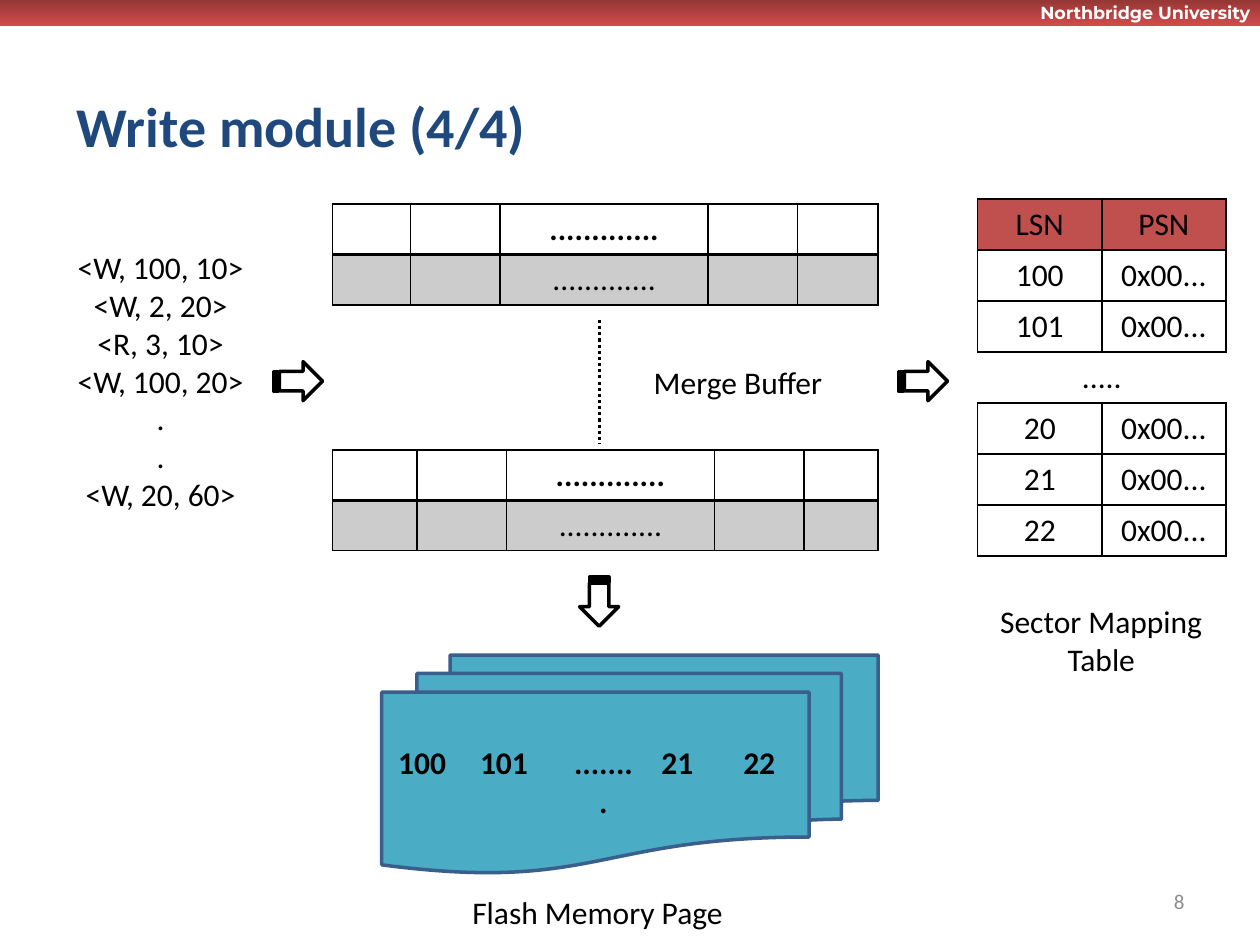
from lxml.etree import SubElement
from pptx import Presentation
from pptx.dml.color import RGBColor
from pptx.enum.dml import MSO_LINE_DASH_STYLE as Dash
from pptx.enum.shapes import MSO_CONNECTOR as Connector, MSO_SHAPE as Shape
from pptx.enum.text import MSO_ANCHOR as Anchor, PP_ALIGN as Align
from pptx.oxml import parse_xml
from pptx.oxml.ns import nsdecls, qn
from pptx.util import Inches, Pt

BLACK = RGBColor(0x00, 0x00, 0x00)
WHITE = RGBColor(0xFF, 0xFF, 0xFF)
NAVY = RGBColor(0x1F, 0x49, 0x7D)
RED = RGBColor(0xC0, 0x50, 0x4D)
BAR_TOP = RGBColor(0x95, 0x37, 0x35)
BAR_BOTTOM = RGBColor(0xD2, 0x4C, 0x4C)
SHADE = RGBColor(0xCC, 0xCC, 0xCC)
TEAL = RGBColor(0x4B, 0xAC, 0xC6)
PAGE_EDGE = RGBColor(0x3A, 0x5F, 0x8C)
GREY = RGBColor(0x8C, 0x8C, 0x8C)

COLUMNS, ROWS = 100, 75
UNIT = 0.1  # inches per grid step

REQUESTS = ["<W, 100, 10>", "<W, 2, 20>", "<R, 3, 10>", "<W, 100, 20>",
            ".", ".", "<W, 20, 60>"]
ADDRESS = "0x00..."
MAPPING = [["LSN", "PSN"], ["100", ADDRESS], ["101", ADDRESS], [".....", ""],
           ["20", ADDRESS], ["21", ADDRESS], ["22", ADDRESS]]
GAP_ROW = 3
DOTS = "............."
BOX = dict.fromkeys("LRTB", 1)


def grid(*steps):
    return [Inches(step * UNIT) for step in steps]


def write(text_frame, lines, size=18, color=BLACK, bold=False,
          align=Align.LEFT, font="Calibri"):
    text_frame.text = "\n".join(lines)
    for paragraph in text_frame.paragraphs:
        paragraph.alignment = align
        paragraph.font.size = Pt(size)
        for run in paragraph.runs:
            run.font.name = font
            run.font.size = Pt(size)
            run.font.bold = bold
            run.font.color.rgb = color


def add_text(slide, place, lines, wrap=False, anchor=Anchor.TOP, **style):
    text_frame = slide.shapes.add_textbox(*grid(*place)).text_frame
    text_frame.word_wrap = wrap
    text_frame.vertical_anchor = anchor
    write(text_frame, lines, **style)


def add_block(slide, kind, place, fill, edge, rotation=0):
    shape = slide.shapes.add_shape(kind, *grid(*place))
    shape.shadow.inherit = False
    shape.fill.solid()
    shape.fill.fore_color.rgb = fill
    shape.line.color.rgb = edge
    shape.line.width = Pt(2)
    shape.rotation = rotation


def add_top_bar(slide):
    bar = slide.shapes.add_shape(Shape.RECTANGLE, *grid(0, 0, COLUMNS, 2.1))
    bar.shadow.inherit = False
    bar.line.fill.background()
    bar.fill.gradient()
    bar.fill.gradient_angle = 270
    for stop, color in zip(bar.fill.gradient_stops, (BAR_TOP, BAR_BOTTOM)):
        stop.color.rgb = color


def add_dotted_line(slide, x, top, bottom):
    line = slide.shapes.add_connector(Connector.STRAIGHT, *grid(x, top, x, bottom))
    line.line.color.rgb = BLACK
    line.line.width = Pt(1.75)
    line.line.dash_style = Dash.ROUND_DOT
    SubElement(line._element.spPr, qn("a:effectLst"))


def set_borders(cell, widths):
    """Draw black borders by side (L, R, T, B) in points; hide the other sides."""
    properties = cell._tc.get_or_add_tcPr()
    for index, side in enumerate("LRTB"):
        width = widths.get(side, 0)
        paint = (f'<a:solidFill><a:srgbClr val="{BLACK}"/></a:solidFill>'
                 if width else "<a:noFill/>")
        properties.insert(index, parse_xml(
            f'<a:ln{side} {nsdecls("a")} w="{Pt(width)}">{paint}</a:ln{side}>'))


def fill_cell(cell, text, fill=None, borders=BOX, **style):
    write(cell.text_frame, [text], **style)
    if fill is None:
        cell.fill.background()
    else:
        cell.fill.solid()
        cell.fill.fore_color.rgb = fill
    set_borders(cell, borders)


def add_table(slide, left, top, widths, row_height, row_count):
    table = slide.shapes.add_table(
        row_count, len(widths),
        *grid(left, top, sum(widths), row_height * row_count)).table
    table.first_row = table.horz_banding = False
    for column, width in zip(table.columns, widths):
        column.width = Inches(width * UNIT)
    for row in table.rows:
        row.height = Inches(row_height * UNIT)
    return table


def add_mapping_table(slide):
    table = add_table(slide, 77.6, 15.8, [9.85, 9.85], 4.05, len(MAPPING))
    for r, values in enumerate(MAPPING):
        borders = {"T": 1, "B": 1} if r == GAP_ROW else BOX
        for c, value in enumerate(values):
            fill_cell(table.cell(r, c), value, None if r else RED, borders,
                      align=Align.CENTER)
    table.cell(GAP_ROW, 0).merge(table.cell(GAP_ROW, 1))


def add_buffer_table(slide, top, widths):
    table = add_table(slide, 26.4, top, widths, 4, 2)
    middle = len(widths) // 2
    for c in range(len(widths)):
        text = DOTS if c == middle else ""
        fill_cell(table.cell(0, c), text, borders=BOX | {"B": 2},
                  bold=True, align=Align.CENTER)
        fill_cell(table.cell(1, c), text, SHADE, BOX | {"T": 2},
                  align=Align.CENTER)


def add_page_numbers(slide):
    table = add_table(slide, 30.6, 58.6, [6.5, 7.2, 7.2, 6.5, 5.8], 10, 1)
    for c, value in enumerate(["100", "101", "........", "21", "22"]):
        align = Align.CENTER if c == 2 else Align.LEFT
        fill_cell(table.cell(0, c), value, borders={}, bold=True, align=align)


def main():
    presentation = Presentation()
    presentation.slide_width, presentation.slide_height = grid(COLUMNS, ROWS)
    slide = presentation.slides.add_slide(presentation.slide_layouts[6])

    add_top_bar(slide)
    add_text(slide, (78.3, -0.3, 21.9, 2.7), ["Northbridge University"], size=10,
             color=WHITE, bold=True, align=Align.RIGHT, font="Montserrat")
    add_text(slide, (5.1, 5.2, 84.9, 9.4), ["Write module (4/4)"], wrap=True,
             anchor=Anchor.MIDDLE, size=32, color=NAVY, bold=True)

    add_mapping_table(slide)
    add_text(slide, (5.1, 19.2, 15.3, 22.2), REQUESTS, align=Align.CENTER)
    add_buffer_table(slide, 16.2, [6.2, 7.1, 16.5, 7.1, 6.4])
    add_dotted_line(slide, 47.6, 25.4, 35.2)
    add_buffer_table(slide, 35.7, [6.7, 7.1, 16.5, 7.1, 5.9])

    add_block(slide, Shape.FLOWCHART_MULTIDOCUMENT, (30.3, 52, 39.4, 17.3),
              TEAL, PAGE_EDGE)
    for left, top, rotation in [(21.7, 28.7, 0), (71.3, 28.7, 0), (45.6, 46.2, 90)]:
        add_block(slide, Shape.STRIPED_RIGHT_ARROW, (left, top, 3.9, 3.1),
                  WHITE, BLACK, rotation)
    add_page_numbers(slide)

    add_text(slide, (36.5, 70.4, 22.1, 4), ["Flash Memory Page"])
    add_text(slide, (50.9, 28.3, 15.6, 4), ["Merge Buffer"])
    add_text(slide, (78.3, 47.3, 18.2, 7.1), ["Sector Mapping", "Table"],
             align=Align.CENTER)
    add_text(slide, (71.7, 69.5, 23.3, 4), ["8"], wrap=True, anchor=Anchor.MIDDLE,
             size=12, color=GREY, align=Align.RIGHT)

    presentation.save("out.pptx")


if __name__ == "__main__":
    main()
